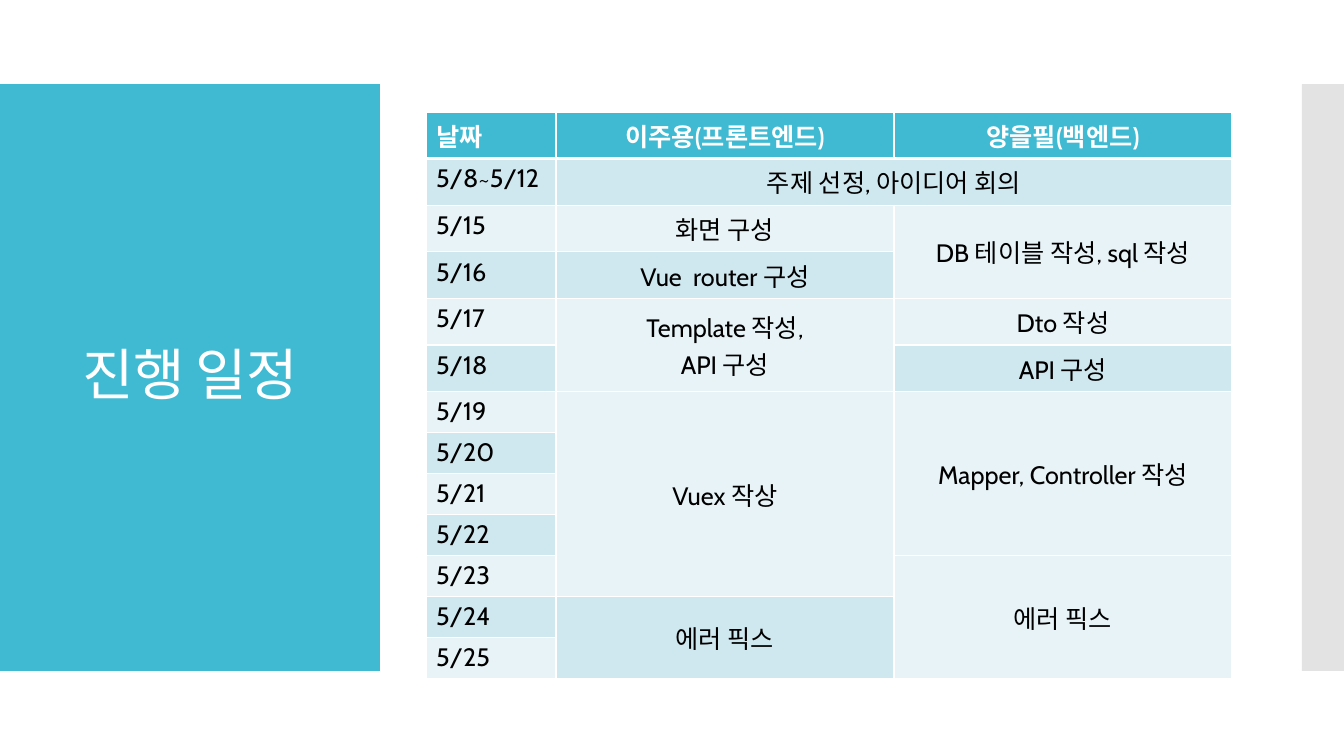
import lxml.etree
import pptx
import pptx.dml.color
import pptx.enum.shapes
import pptx.enum.text
import pptx.oxml.ns
import pptx.util

EMU_PER_PX = 914400 / 100.8
TEAL, WHITE, BLACK, GREY = "40BAD2", "FFFFFF", "000000", "C8C8C8"
BANDS = ["E8F3F7", "CFE7EE"]
CENTER = pptx.enum.text.PP_ALIGN.CENTER
LEFT = pptx.enum.text.PP_ALIGN.LEFT
MIDDLE = pptx.enum.text.MSO_ANCHOR.MIDDLE
TOP = pptx.enum.text.MSO_ANCHOR.TOP
qn = pptx.oxml.ns.qn


def px(*lengths):
    return [pptx.util.Emu(round(length * EMU_PER_PX)) for length in lengths]


def color(hex_string):
    return pptx.dml.color.RGBColor.from_string(hex_string)


presentation = pptx.Presentation()
presentation.slide_width, presentation.slide_height = px(1344, 756)
slide = presentation.slides.add_slide(presentation.slide_layouts[5])
title = slide.shapes.title

# Side panels, behind the title
for left, width, fill, opacity in [(0, 380, TEAL, 100), (1302, 42, GREY, 50)]:
    panel = slide.shapes.add_shape(
        pptx.enum.shapes.MSO_SHAPE.RECTANGLE, *px(left, 84, width, 587))
    panel.shadow.inherit = False
    panel.fill.solid()
    panel.fill.fore_color.rgb = color(fill)
    panel.line.fill.background()
    if opacity < 100:
        fill_color = panel.element.spPr.find(".//" + qn("a:srgbClr"))
        lxml.etree.SubElement(fill_color, qn("a:alpha"), val=str(opacity * 1000))
    title.element.addprevious(panel.element)

# Title
title.left, title.top, title.width, title.height = px(28, 124, 324, 507)
title.text_frame.text = "진행 일정"
title.text_frame.auto_size = pptx.enum.text.MSO_AUTO_SIZE.NONE
title.text_frame.vertical_anchor = MIDDLE
title_paragraph = title.text_frame.paragraphs[0]
title_paragraph.alignment = CENTER
title_paragraph.line_spacing = 0.9
title_run = title_paragraph.runs[0]
title_format = {"name": "Noto Sans CJK KR", "size": pptx.util.Pt(40)}
for attribute, value in title_format.items():
    setattr(title_run.font, attribute, value)
title_run.font.color.rgb = color(WHITE)
title_properties = title_run.font._element
title_properties.set("spc", "-60")
lxml.etree.SubElement(title_properties, qn("a:ea"), typeface="Noto Sans CJK KR")

# Schedule contents
dates = ["날짜", "5/8~5/12"] + [f"5/{day}" for day in range(15, 26)]
tasks = [  # row, column, rows spanned, columns spanned, text
    (0, 1, 1, 1, "이주용(프론트엔드)"),
    (0, 2, 1, 1, "양을필(백엔드)"),
    (1, 1, 1, 2, "주제 선정, 아이디어 회의"),
    (2, 1, 1, 1, "화면 구성"),
    (2, 2, 2, 1, "DB 테이블 작성, sql 작성"),
    (3, 1, 1, 1, "Vue  router 구성"),
    (4, 1, 2, 1, "Template 작성,\nAPI 구성"),
    (4, 2, 1, 1, "Dto 작성"),
    (5, 2, 1, 1, "API 구성"),
    (6, 1, 5, 1, "Vuex 작상"),
    (6, 2, 4, 1, "Mapper, Controller 작성"),
    (10, 2, 3, 1, "에러 픽스"),
    (11, 1, 2, 1, "에러 픽스"),
]

# Schedule table
column_widths = px(130, 338, 338)
table = slide.shapes.add_table(
    len(dates), len(column_widths), *px(426, 112, 806, 41 * len(dates))).table
for column, width in zip(table.columns, column_widths):
    column.width = width
for row, date in enumerate(dates):
    table.cell(row, 0).text = date
for row, column, row_span, column_span, text in tasks:
    cell = table.cell(row, column)
    cell.text = text
    if row_span * column_span > 1:
        cell.merge(table.cell(row + row_span - 1, column + column_span - 1))

# Cell fills, borders and text
for row in range(len(dates)):
    is_header = row == 0
    cell_format = {"name": "Cabin", "size": pptx.util.Pt(18), "bold": is_header}
    for column in range(len(column_widths)):
        cell = table.cell(row, column)
        cell.vertical_anchor = MIDDLE if column and not is_header else TOP
        cell.fill.solid()
        cell.fill.fore_color.rgb = color(TEAL if is_header else BANDS[row % 2])
        heavy_side = {0: "lnB", 1: "lnT"}.get(row)
        for position, side in enumerate(["lnL", "lnR", "lnT", "lnB"]):
            points = 3 if side == heavy_side else 1
            border = lxml.etree.Element(
                qn("a:" + side), w=str(pptx.util.Pt(points)))
            border_fill = lxml.etree.SubElement(border, qn("a:solidFill"))
            lxml.etree.SubElement(border_fill, qn("a:srgbClr"), val=WHITE)
            cell._tc.tcPr.insert(position, border)
        for paragraph in cell.text_frame.paragraphs:
            paragraph.alignment = CENTER if column else LEFT
            for run in paragraph.runs:
                for attribute, value in cell_format.items():
                    setattr(run.font, attribute, value)
                run.font.color.rgb = color(WHITE if is_header else BLACK)
                lxml.etree.SubElement(
                    run.font._element, qn("a:ea"), typeface="Noto Sans CJK KR")

presentation.save("out.pptx")
